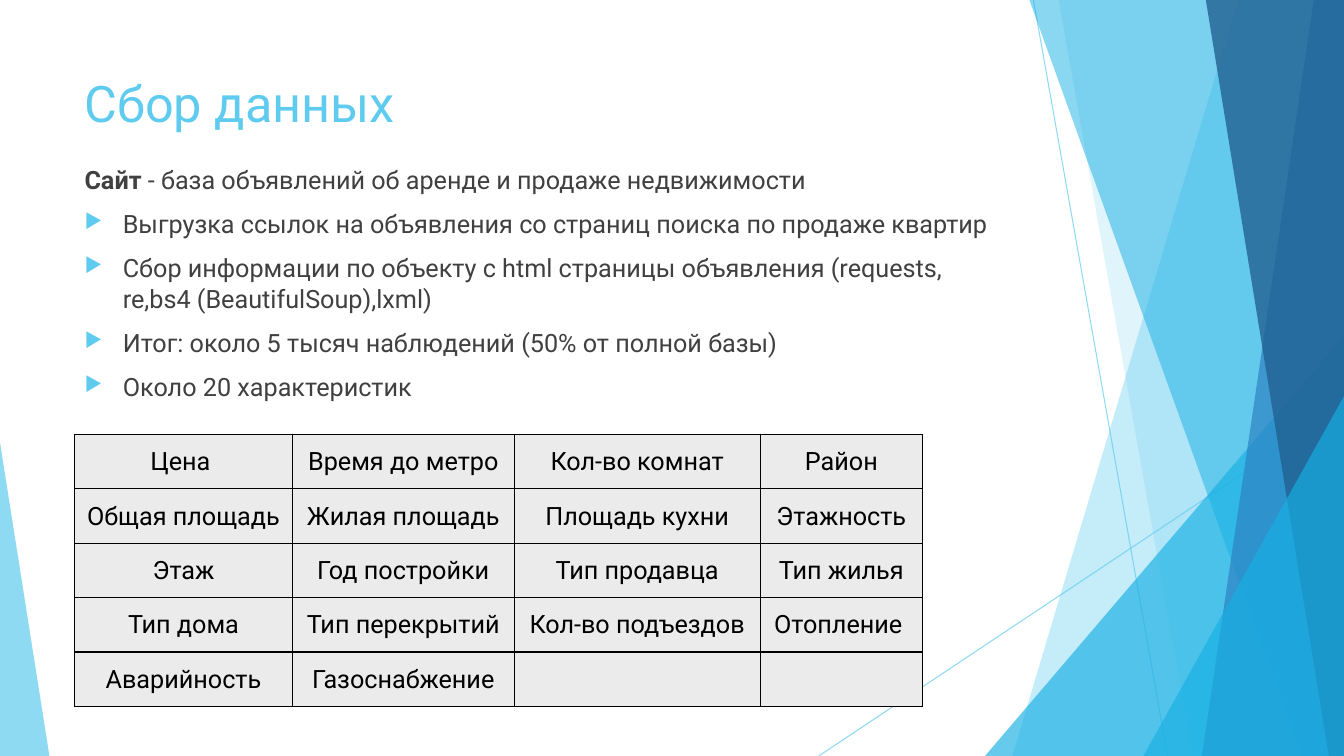
from lxml import etree
from pptx import Presentation
from pptx import util as u
from pptx.dml.color import RGBColor
from pptx.enum import shapes, text
from pptx.oxml.ns import qn

COLORS = {"sky": "5FCBEF", "cyan": "17B0E4", "blue": "2E83C3", "navy": "226292",
          "body": "404040", "black": "000000", "cell": "EBEBEB"}
W, H = 13.33, 7.5
RAYS = [[(10.25, 0), (11.58, H)], [(W, 4.03), (8.12, H)]]
# top-left x, bottom-left x, colour, opacity; each band runs to the right slide edge
BANDS_BACK = [(12.28, 10.04, "sky", 36), (10.5, 11.83, "sky", 20)]
BANDS_FRONT = [(10.21, 12.91, "cyan", 50), (13.03, 11.92, "blue", 70),
               (11.96, 13.18, "navy", 80)]
BULLETS = [
    "Выгрузка ссылок на объявления со страниц поиска по продаже квартир",
    "Сбор информации по объекту с html страницы объявления "
    "(requests, re,bs4 (BeautifulSoup),lxml)",
    "Итог: около 5 тысяч наблюдений (50% от полной базы)",
    "Около 20 характеристик",
]
FEATURES = [
    ["Цена ", "Время до метро", "Кол-во комнат", "Район"],
    ["Общая площадь", "Жилая площадь", "Площадь кухни", "Этажность"],
    ["Этаж", "Год постройки", "Тип продавца", "Тип жилья"],
    ["Тип дома", "Тип перекрытий", "Кол-во подъездов", "Отопление "],
    ["Аварийность", "Газоснабжение", "", ""],
]


def rgb(name):
    return RGBColor.from_string(COLORS[name])


def add_xml(parent, tag, **attrs):
    return etree.SubElement(parent, qn(tag), attrs)


class SlideBuilder:
    font = "Roboto"

    def __init__(self, slide):
        self.slide = slide

    def set_opacity(self, sp, percent):
        for color in sp._element.spPr.iter(qn("a:srgbClr")):
            add_xml(color, "a:alpha", val=str(percent * 1000))

    def paint(self, sp, color, opacity):
        sp.shadow.inherit = False
        sp.fill.solid()
        sp.fill.fore_color.rgb = rgb(color)
        sp.line.fill.background()
        self.set_opacity(sp, opacity)

    def ray(self, start, end):
        line = self.slide.shapes.add_connector(
            shapes.MSO_CONNECTOR.STRAIGHT, *map(u.Inches, (*start, *end)))
        line.line.color.rgb = rgb("sky")
        line.line.width = u.Pt(0.75)
        self.set_opacity(line, 70)
        add_xml(line._element.spPr, "a:effectLst")

    def band(self, top_x, bottom_x, color, opacity):
        corners = [(W, 0), (W, H), (bottom_x, H)]
        builder = self.slide.shapes.build_freeform(
            u.Inches(top_x), 0, scale=1.0)
        builder.add_line_segments(
            [(u.Inches(x), u.Inches(y)) for x, y in corners], close=True)
        self.paint(builder.convert_to_shape(), color, opacity)

    def triangle(self, left, top, width, apex, color, opacity):
        """Triangle standing on the bottom slide edge; apex 0 is left, 1 is right."""
        sp = self.slide.shapes.add_shape(
            shapes.MSO_SHAPE.ISOSCELES_TRIANGLE,
            *map(u.Inches, (left, top, width, H - top)))
        sp.adjustments[0] = apex
        self.paint(sp, color, opacity)

    def text_box(self, left, top, width, height):
        tf = self.slide.shapes.add_textbox(
            *map(u.Inches, (left, top, width, height))).text_frame
        tf.word_wrap = True
        return tf

    def run(self, p, words, size=18, color="body", bold=False):
        r = p.add_run()
        r.text = words
        r.font.name = self.font
        r.font.size = u.Pt(size)
        r.font.bold = bold
        r.font.color.rgb = rgb(color)

    def bullet(self, tf, words):
        p = tf.add_paragraph()
        p.space_before = u.Pt(10)
        pPr = p._p.get_or_add_pPr()
        indent = u.Inches(0.38)
        pPr.set("marL", str(indent))
        pPr.set("indent", str(-indent))
        add_xml(add_xml(pPr, "a:buClr"), "a:srgbClr", val=COLORS["sky"])
        add_xml(pPr, "a:buSzPct", val="80000")
        add_xml(pPr, "a:buChar", char="▶")
        self.run(p, words)

    def border(self, cell):
        tcPr = cell._tc.get_or_add_tcPr()
        for i, side in enumerate("LRTB"):
            ln = add_xml(tcPr, f"a:ln{side}", w=str(u.Pt(1)))
            add_xml(add_xml(ln, "a:solidFill"), "a:srgbClr", val=COLORS["black"])
            tcPr.insert(i, ln)

    def table(self, left, top, widths, row_height, rows):
        table = self.slide.shapes.add_table(
            len(rows), len(widths),
            *map(u.Inches, (left, top, sum(widths), row_height * len(rows)))).table
        for column, width in zip(table.columns, widths):
            column.width = u.Inches(width)
        for i, row in enumerate(rows):
            for j, words in enumerate(row):
                cell = table.cell(i, j)
                cell.fill.solid()
                cell.fill.fore_color.rgb = rgb("cell")
                cell.vertical_anchor = text.MSO_ANCHOR.MIDDLE
                cell.margin_left = cell.margin_right = cell.margin_top = u.Inches(0.01)
                cell.margin_bottom = 0
                self.border(cell)
                if words:
                    p = cell.text_frame.paragraphs[0]
                    p.alignment = text.PP_ALIGN.CENTER
                    self.run(p, words, color="black")


def main():
    prs = Presentation()
    prs.slide_width, prs.slide_height = u.Inches(W), u.Inches(H)
    s = SlideBuilder(prs.slides.add_slide(prs.slide_layouts[6]))

    for start, end in RAYS:
        s.ray(start, end)
    for band in BANDS_BACK:
        s.band(*band)
    s.triangle(9.77, 3.33, 3.56, 1, "cyan", 66)
    for band in BANDS_FRONT:
        s.band(*band)
    s.triangle(11.34, 3.93, 1.99, 1, "cyan", 66)
    s.triangle(0, 4.39, 0.49, 0, "sky", 70)

    title = s.text_box(0.74, 0.67, 9.4, 0.92)
    s.run(title.paragraphs[0], "Сбор данных", size=36, color="sky")

    body = s.text_box(0.74, 1.58, 9.4, 5.02)
    intro = body.paragraphs[0]
    intro.space_before = u.Pt(10)
    s.run(intro, "Сайт", bold=True)
    s.run(intro, " - база объявлений об аренде и продаже недвижимости")
    for words in BULLETS:
        s.bullet(body, words)

    s.table(0.74, 4.31, [2.16, 2.2, 2.44, 1.61], 0.54, FEATURES)
    prs.save("out.pptx")


if __name__ == "__main__":
    main()
